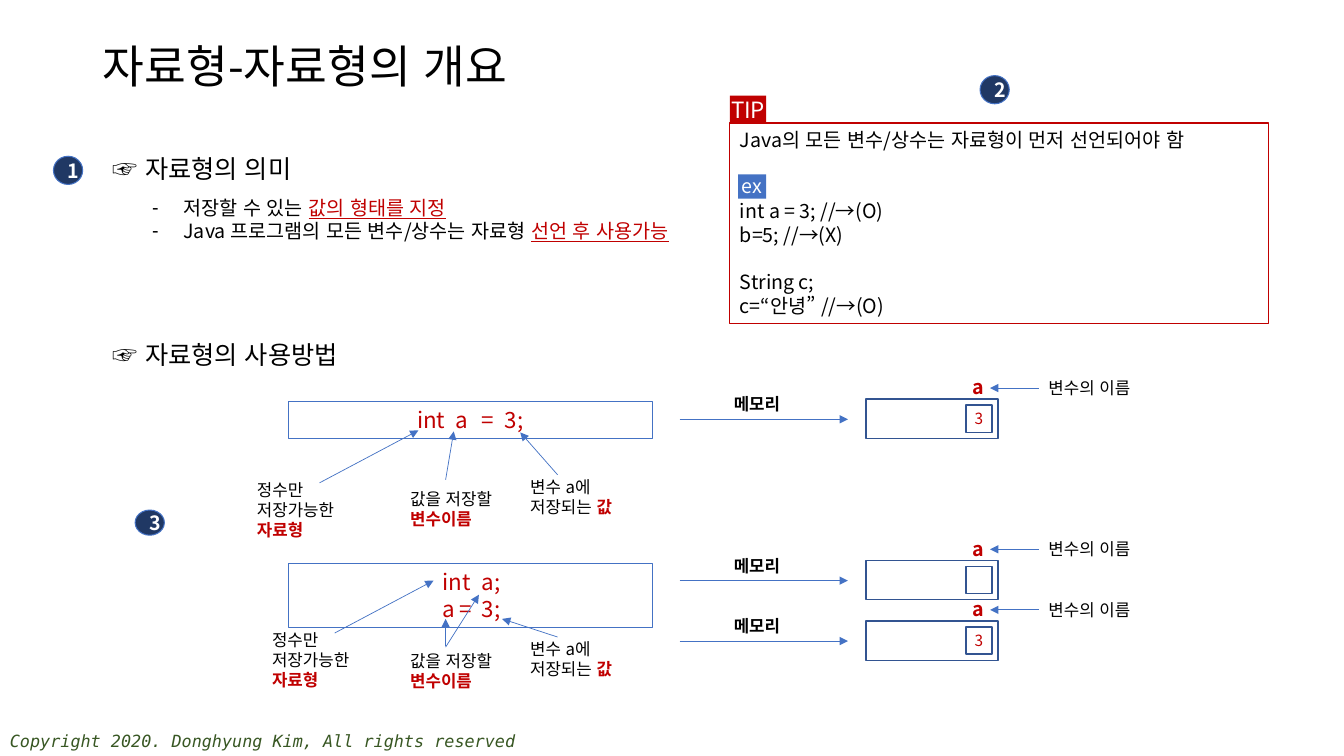
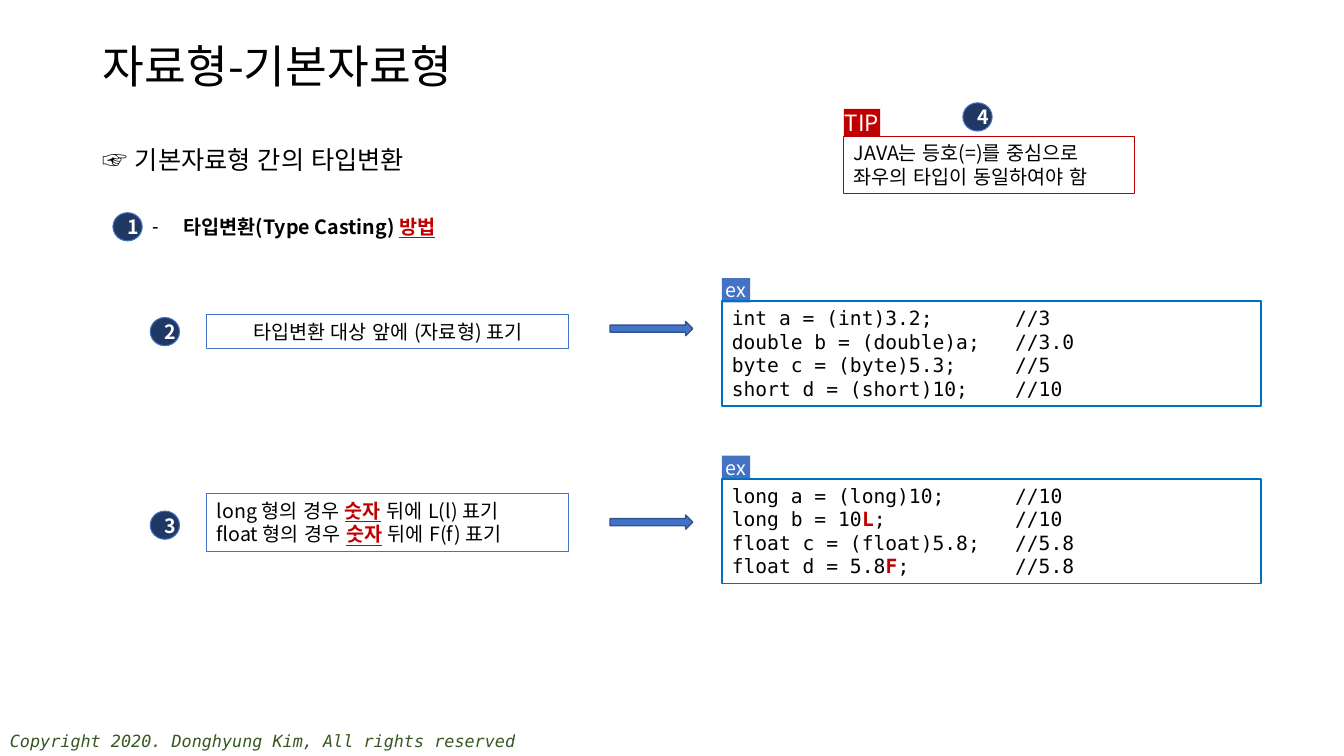
"""Builds two lecture slides on Java data types and type casting."""
from lxml import etree
from pptx import Presentation
from pptx import util as u
from pptx.dml.color import RGBColor
from pptx.enum import lang, shapes as kinds, text as txt
from pptx.oxml import ns

SANS, MONO = "Noto Sans CJK KR", "DejaVu Sans Mono"
BLACK, WHITE, RED, GREEN = "000000", "FFFFFF", "C00000", "385723"
BLUE, DEEP_BLUE, NAVY, CODE_BLUE = "4472C4", "325491", "203864", "0070C0"
LEFT, CENTER = txt.PP_ALIGN.LEFT, txt.PP_ALIGN.CENTER
TOP, MIDDLE = txt.MSO_ANCHOR.TOP, txt.MSO_ANCHOR.MIDDLE
RECT, OVAL = kinds.MSO_SHAPE.RECTANGLE, kinds.MSO_SHAPE.OVAL
KEY = dict(color=RED, bold=True)
LINK = dict(color=RED, underline=True)
KEY_LINK = dict(color=RED, bold=True, underline=True)

COPYRIGHT = "Copyright 2020. Donghyung Kim, All rights reserved"

OVERVIEW = dict(
    title="자료형-자료형의 개요",
    headings=[(1.02, 1.47, "☞ 자료형의 의미"), (1.02, 3.32, "☞ 자료형의 사용방법")],
    points=[
        ["저장할 수 있는 ", ("값의 형태를 지정", LINK)],
        ["Java 프로그램의 모든 변수/상수는 자료형 ", ("선언 후 사용가능", LINK)],
    ],
    points_at=(1.41, 1.89, 5.86, 0.57),
    tip=[
        ["Java의 모든 변수/상수는 자료형이 먼저 선언되어야 함"],
        ["int a = 3; //→(O)"],
        ["b=5; //→(X)"],
        ["String c;"],
        ["c=“안녕” //→(O)"],
    ],
    tip_at=(7.24, 1.22, 5.34, 1.99),
    tip_gaps={1: 34, 3: 17},
    badges=[(0.53, 1.55, 0.28), (9.72, 0.75, 0.28), (1.34, 5.06, 0.25)],
)
CASTING = dict(
    title="자료형-기본자료형",
    headings=[(0.92, 1.38, "☞ 기본자료형 간의 타입변환")],
    points=[[("타입변환(Type Casting) ", dict(bold=True)), ("방법", KEY_LINK)]],
    points_at=(1.41, 2.08, 3.31, 0.34),
    tip=[["JAVA는 등호(=)를 중심으로"], ["좌우의 타입이 동일하여야 함"]],
    tip_at=(8.37, 1.35, 2.88, 0.57),
    tip_gaps={},
    badges=[(1.12, 2.11, 0.28), (1.49, 3.15, 0.28), (1.49, 5.07, 0.28), (9.55, 1.02, 0.28)],
)

TYPE_NOTE = [["정수만"], ["저장가능한"], [("자료형", KEY)]]
NAME_NOTE = [["값을 저장할"], [("변수이름", KEY)]]
VALUE_NOTE = [["변수 a에"], ["저장되는 ", ("값", KEY)]]
DECLARATIONS = [
    dict(
        code=[["\tint\ta\t=\t3;"]],
        stops=[1.18, 1.56, 1.82, 2.05],
        top=3.98, height=0.37,
        notes=[(2.45, 4.71, TYPE_NOTE), (3.97, 4.8, NAME_NOTE), (5.16, 4.68, VALUE_NOTE)],
        pointers=[
            (3.17, 4.79, 4.15, 4.27),
            (4.42, 4.76, 4.5, 4.28),
            (5.53, 4.71, 5.16, 4.29),
        ],
    ),
    dict(
        code=[["\tint\ta;"], ["\ta =\t3;"]],
        stops=[1.43, 1.82],
        top=5.59, height=0.64,
        notes=[(2.6, 6.2, TYPE_NOTE), (3.97, 6.41, NAME_NOTE), (5.16, 6.29, VALUE_NOTE)],
        pointers=[
            (3.32, 6.28, 4.3, 5.76),
            (4.42, 6.41, 4.42, 6.14),
            (5.53, 6.32, 4.98, 6.14),
            (4.42, 6.42, 4.75, 5.9),
        ],
    ),
]
MEMORY = [(3.96, "3"), (5.56, ""), (6.16, "3")]

CAST_RULES = [
    dict(
        rule=[["타입변환 대상 앞에 (자료형) 표기"]],
        align=CENTER, rule_top=3.12, rule_height=0.34, arrow_top=3.19, code_top=2.99,
        code=[
            ["int a = (int)3.2;\t//3"],
            ["double b = (double)a;\t//3.0"],
            ["byte c = (byte)5.3;\t//5"],
            ["short d = (short)10;\t//10"],
        ],
    ),
    dict(
        rule=[
            ["long 형의 경우 ", ("숫자", KEY_LINK), " 뒤에 L(l) 표기"],
            ["float 형의 경우 ", ("숫자", KEY_LINK), " 뒤에 F(f) 표기"],
        ],
        align=LEFT, rule_top=4.9, rule_height=0.57, arrow_top=5.11, code_top=4.75,
        code=[
            ["long a = (long)10;\t//10"],
            ["long b = 10", ("L", KEY), ";\t//10"],
            ["float c = (float)5.8;\t//5.8"],
            ["float d = 5.8", ("F", KEY), ";\t//5.8"],
        ],
    ),
]


def rgb(value):
    return RGBColor.from_string(value)


def inches(*values):
    return [u.Inches(value) for value in values]


def add_run(paragraph, content, size, font, color, bold=False, italic=False, underline=False):
    run = paragraph.add_run()
    run.text = content
    face = run.font
    face.size, face.bold, face.italic, face.underline = u.Pt(size), bold, italic, underline
    face.color.rgb = rgb(color)
    face.name = font
    face.language_id = lang.MSO_LANGUAGE_ID.KOREAN
    etree.SubElement(run._r.get_or_add_rPr(), ns.qn("a:ea"), typeface=font)


def write(frame, paragraphs, size, font=SANS, color=BLACK, align=LEFT, anchor=TOP,
          margin=None, spacing=1.0, gaps={}, stops=(), dash=False, **style):
    frame.word_wrap = True
    frame.auto_size = txt.MSO_AUTO_SIZE.NONE
    frame.vertical_anchor = anchor
    if margin is not None:
        frame.margin_left = frame.margin_right = u.Inches(margin)
        frame.margin_top = frame.margin_bottom = u.Inches(margin)
    for index, runs in enumerate(paragraphs):
        paragraph = frame.paragraphs[0] if index == 0 else frame.add_paragraph()
        paragraph.alignment = align
        paragraph.line_spacing = spacing
        paragraph.space_before = u.Pt(gaps.get(index, 0))
        properties = paragraph._p.get_or_add_pPr()
        if dash:
            properties.set("marL", str(u.Inches(0.31)))
            properties.set("indent", str(u.Inches(-0.31)))
            etree.SubElement(properties, ns.qn("a:buChar"), char="-")
        if stops:
            tab_list = etree.SubElement(properties, ns.qn("a:tabLst"))
            for stop in stops:
                etree.SubElement(tab_list, ns.qn("a:tab"), pos=str(u.Inches(stop)), algn="l")
        for run in runs:
            content, own = (run, {}) if isinstance(run, str) else run
            add_run(paragraph, content, size, font, **{"color": color, **style, **own})


def add_label(slide, at, paragraphs, size, **options):
    write(slide.shapes.add_textbox(*inches(*at)).text_frame, paragraphs, size, **options)


def add_box(slide, at, paragraphs=(), size=14, kind=RECT, fill=None, line=None, width=0.75,
            **options):
    box = slide.shapes.add_shape(kind, *inches(*at))
    box.shadow.inherit = False
    if fill:
        box.fill.solid()
        box.fill.fore_color.rgb = rgb(fill)
    else:
        box.fill.background()
    if line:
        box.line.color.rgb = rgb(line)
        box.line.width = u.Pt(width)
    else:
        box.line.fill.background()
    if paragraphs:
        write(box.text_frame, paragraphs, size, **options)


def add_arrow(slide, *ends):
    arrow = slide.shapes.add_connector(kinds.MSO_CONNECTOR.STRAIGHT, *inches(*ends))
    arrow.line.color.rgb = rgb(BLUE)
    arrow.line.width = u.Pt(0.5)
    etree.SubElement(arrow.line._get_or_add_ln(), ns.qn("a:tailEnd"), type="triangle")
    etree.SubElement(arrow._element.spPr, ns.qn("a:effectLst"))


def add_tag(slide, at, word, size, fill):
    add_box(slide, at, [[word]], size, fill=fill, color=WHITE, align=CENTER, margin=0)


def add_example_tag(slide, left, top):
    add_tag(slide, (left, top, 0.28, 0.24), "ex", 14, BLUE)


def start_slide(deck, layout, content):
    slide = deck.slides.add_slide(layout)
    add_label(slide, (0, 7.2, 7.19, 0.3), [[COPYRIGHT]], 12, font=MONO, color=GREEN, italic=True)
    write(slide.shapes.title.text_frame, [[content["title"]]], 32.4, anchor=MIDDLE, spacing=0.9)
    points = slide.placeholders[1]
    points.left, points.top, points.width, points.height = inches(*content["points_at"])
    write(points.text_frame, content["points"], 14, dash=True)
    for left, top, heading in content["headings"]:
        add_label(slide, (left, top, 3.75, 0.4), [[heading]], 18)
    left, top = content["tip_at"][:2]
    add_box(slide, content["tip_at"], content["tip"], line=RED, gaps=content["tip_gaps"])
    add_tag(slide, (left, top - 0.27, 0.36, 0.27), "TIP", 16, RED)
    for number, (left, top, height) in enumerate(content["badges"], 1):
        add_box(slide, (left, top, 0.29, height), [[str(number)]], kind=OVAL, fill=NAVY,
                line=BLUE, color=WHITE, align=CENTER, anchor=MIDDLE, bold=True)
    return slide


def add_declaration(slide, declaration):
    add_box(slide, (2.86, declaration["top"], 3.61, declaration["height"]), declaration["code"],
            16, line=BLUE, color=RED, stops=declaration["stops"])
    for left, top, note in declaration["notes"]:
        add_label(slide, (left, top, 1.2, 0.1 + 0.2 * len(note)), note, 12)
    for pointer in declaration["pointers"]:
        add_arrow(slide, *pointer)


def add_memory(slide, top, value):
    add_label(slide, (7.18, top - 0.1, 1.14, 0.3), [["메모리"]], 12, bold=True)
    add_arrow(slide, 6.74, top + 0.2, 8.41, top + 0.2)
    add_box(slide, (8.59, top, 1.31, 0.39), line=DEEP_BLUE, width=1)
    add_box(slide, (9.58, top + 0.06, 0.26, 0.27), [[value]] if value else [], 11,
            line=DEEP_BLUE, width=1, color=RED, align=CENTER, anchor=MIDDLE, margin=0)
    add_label(slide, (9.55, top - 0.29, 0.31, 0.34), [["a"]], 14, color=RED, bold=True,
              align=CENTER, anchor=MIDDLE, margin=0)
    add_arrow(slide, 10.3, top - 0.11, 9.82, top - 0.11)
    add_label(slide, (10.3, top - 0.26, 1.1, 0.3), [["변수의 이름"]], 12)


def add_cast_rule(slide, cast):
    add_box(slide, (2.05, cast["rule_top"], 3.59, cast["rule_height"]), cast["rule"],
            line=BLUE, align=cast["align"])
    add_box(slide, (6.05, cast["arrow_top"], 0.82, 0.14), kind=kinds.MSO_SHAPE.RIGHT_ARROW,
            fill=BLUE, line=DEEP_BLUE, width=1)
    add_example_tag(slide, 7.16, cast["code_top"] - 0.23)
    add_box(slide, (7.16, cast["code_top"], 5.35, 1.04), cast["code"], font=MONO,
            line=CODE_BLUE, width=1.25, stops=[2.81])


def main():
    deck = Presentation()
    deck.slide_width, deck.slide_height = inches(13.33, 7.5)
    layout = deck.slide_layouts[1]
    title = layout.placeholders[0]
    title.left, title.top, title.width, title.height = inches(0.92, 0.41, 11.5, 0.54)

    overview = start_slide(deck, layout, OVERVIEW)
    add_example_tag(overview, 7.32, 1.73)
    for declaration in DECLARATIONS:
        add_declaration(overview, declaration)
    for top, value in MEMORY:
        add_memory(overview, top, value)

    casting = start_slide(deck, layout, CASTING)
    for cast in CAST_RULES:
        add_cast_rule(casting, cast)

    deck.save("out.pptx")


if __name__ == "__main__":
    main()
